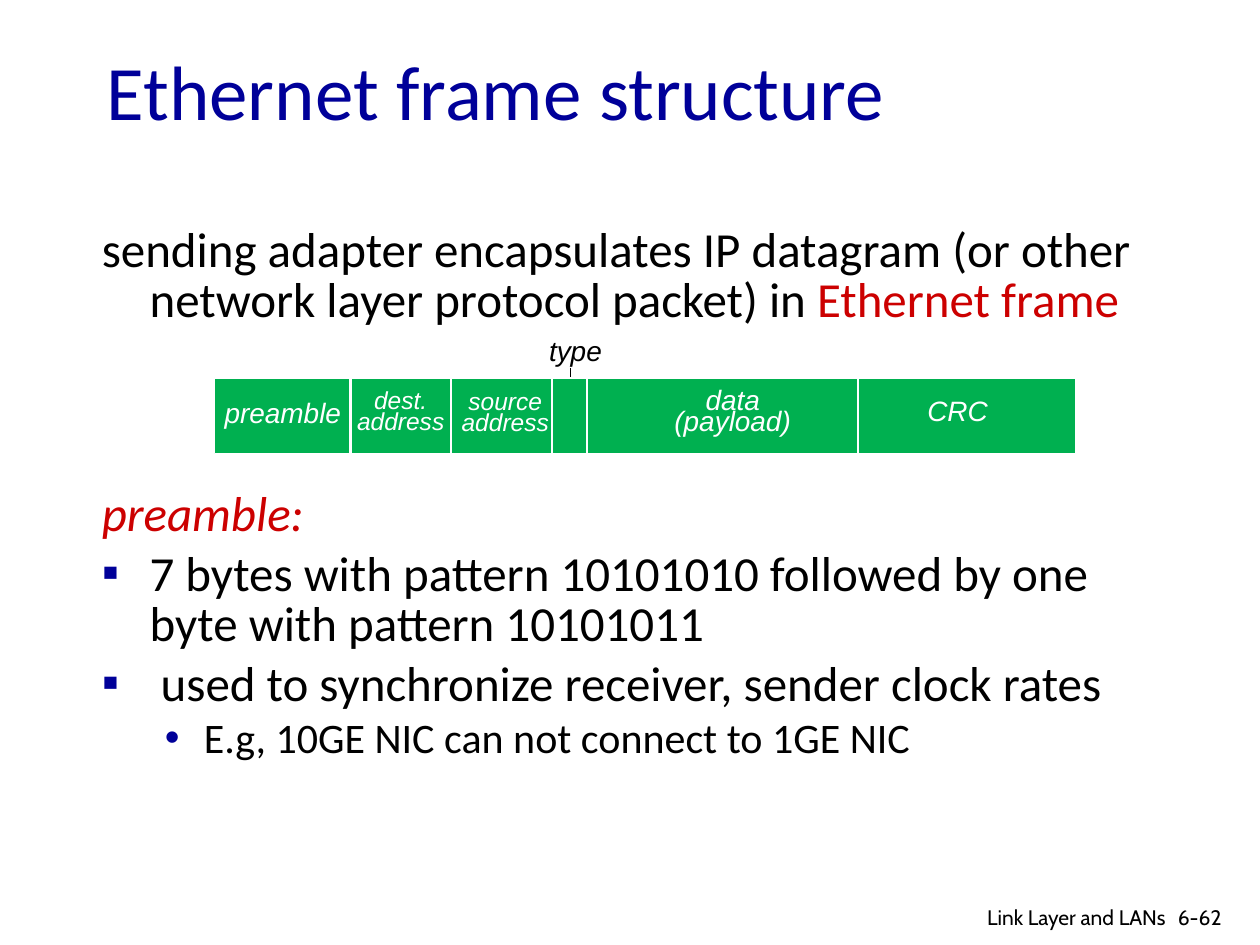
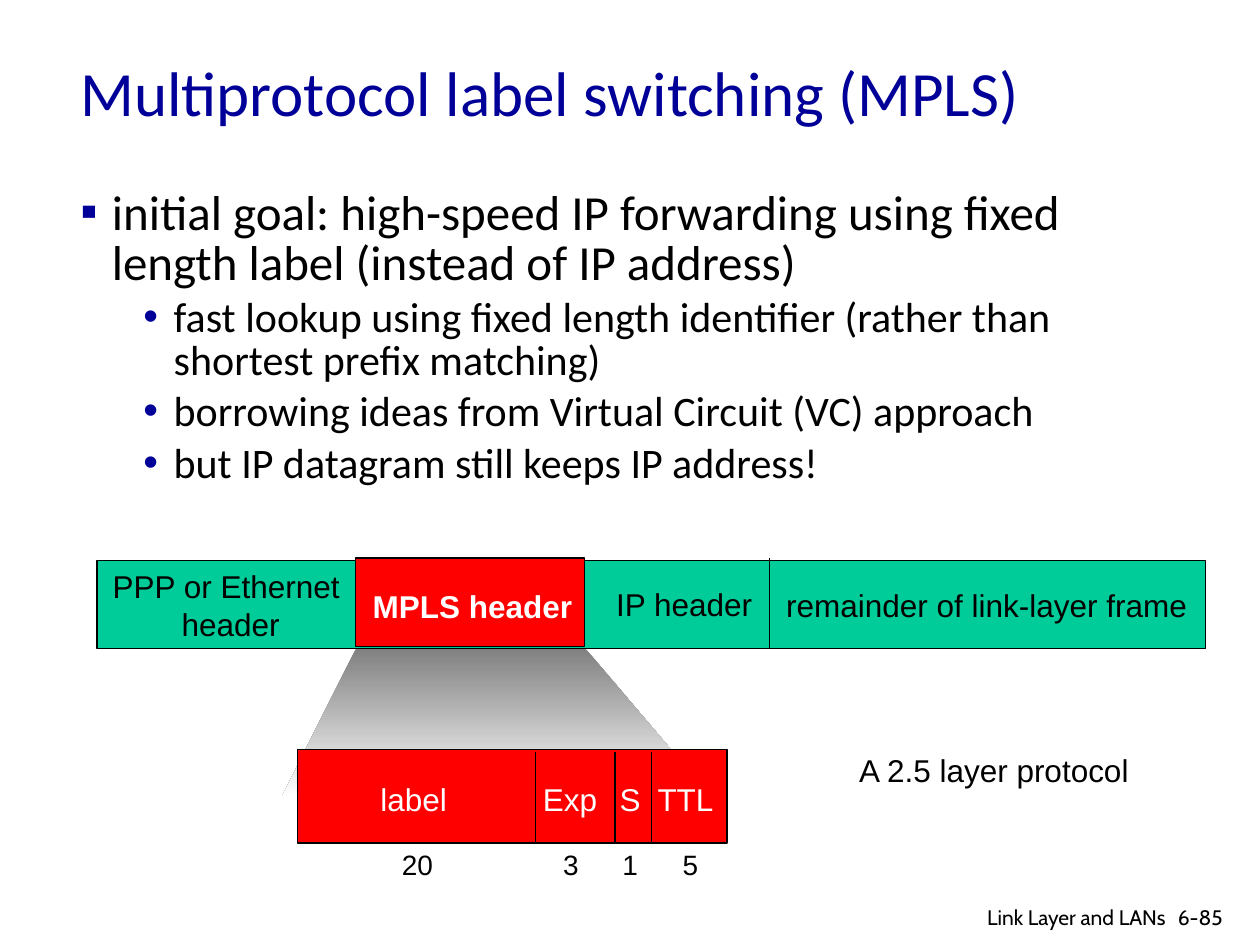
from dataclasses import dataclass

from lxml.etree import SubElement
from pptx import Presentation
from pptx.dml.color import RGBColor
from pptx.enum.shapes import MSO_CONNECTOR, MSO_SHAPE
from pptx.enum.text import MSO_ANCHOR, MSO_AUTO_SIZE, PP_ALIGN
from pptx.oxml.ns import qn
from pptx.util import Inches, Pt


@dataclass(frozen=True)
class Theme:
    heading: str = "Calibri"
    label: str = "Arial"
    footer: str = "Cabin"
    navy: str = "000099"
    crimson: str = "CC0000"
    black: str = "000000"
    white: str = "FFFFFF"
    green: str = "00B050"
    teal: str = "00CC99"
    red: str = "FF0000"
    grey: str = "808080"
    body_sizes: tuple = (28, 24)
    label_size: int = 18
    field_size: int = 16
    address_size: int = 14
    footer_size: int = 12
    hairline: float = 0.75
    divider: float = 1.5


T = Theme()


def add_box(s, at, text="", *, size=T.label_size, color=T.black, font=T.label,
            bold=False, italic=False, align=PP_ALIGN.LEFT, leading=None,
            wrap=True, anchor=MSO_ANCHOR.TOP, fill=None, edge=None):
    """Add a text box, or a rectangle if fill is given; each line is a paragraph."""
    place = [Inches(v) for v in at]
    if fill:
        sp = s.shapes.add_shape(MSO_SHAPE.RECTANGLE, *place)
        sp.shadow.inherit = False
        sp.fill.solid()
        sp.fill.fore_color.rgb = RGBColor.from_string(fill)
        sp.line.color.rgb = RGBColor.from_string(edge)
        sp.line.width = Pt(T.hairline)
    else:
        sp = s.shapes.add_textbox(*place)
    tf = sp.text_frame
    tf.word_wrap = wrap
    if not wrap:
        tf.auto_size = MSO_AUTO_SIZE.SHAPE_TO_FIT_TEXT
    tf.vertical_anchor = anchor
    if text:
        tf.text = text
    for p in tf.paragraphs:
        p.alignment = align
        if leading:
            p.line_spacing = Pt(leading)
        for r in p.runs:
            r.font.size, r.font.name = Pt(size), font
            r.font.bold, r.font.italic = bold, italic
            r.font.color.rgb = RGBColor.from_string(color)
    return sp


def add_vline(s, x, top, bottom, color=T.black, width=T.hairline):
    ln = s.shapes.add_connector(MSO_CONNECTOR.STRAIGHT, Inches(x), Inches(top),
                                Inches(x), Inches(bottom))
    ln.line.color.rgb = RGBColor.from_string(color)
    ln.line.width = Pt(width)
    SubElement(ln._element.spPr, qn("a:effectLst"))


prs = Presentation()
prs.slide_width, prs.slide_height = Inches(10), Inches(7.5)

# Each body paragraph: level, bullet, space before (points), runs of (text, colour, italic)
DIAGRAM_GAP = 93.5
ethernet_body = [
    (0, None, 5.6, [("sending adapter encapsulates IP datagram (or other network layer "
                     "protocol packet) in ", T.black, False),
                    ("Ethernet frame", T.crimson, False)]),
    (0, None, DIAGRAM_GAP, [("preamble:", T.crimson, True)]),
    (0, "▪", 5.6, [("7 bytes with pattern 10101010 followed by one byte with pattern "
                    "10101011", T.black, False)]),
    (0, "▪", 5.6, [(" used to synchronize receiver, sender clock rates", T.black, False)]),
    (1, "•", 4.8, [("E.g, 10GE NIC can not connect to 1GE NIC", T.black, False)]),
]
mpls_body = [
    (0, "▪", 5.6, [("initial goal: high-speed IP forwarding using fixed length label "
                    "(instead of IP address)", T.black, False)]),
] + [
    (1, "•", 4.8, [(text, T.black, False)]) for text in (
        "fast lookup using fixed length identifier (rather than shortest prefix matching)",
        "borrowing ideas from Virtual Circuit (VC) approach",
        "but IP datagram still keeps IP address!")
]

# Title, title place and size, body place, (margin, hanging) per level, body, page number
pages = [
    ("Ethernet frame structure", (0.75, 0.38, 8.5, 0.67), 44,
     (0.71, 1.76, 8.5, 4.75), [(0.38, 0.38), (0.81, 0.31)], ethernet_body, "6-62"),
    ("Multiprotocol label switching (MPLS)", (0.54, 0.21, 8.5, 1.03), 36,
     (0.54, 1.46, 8.5, 5.08), [(0.25, 0.25), (0.74, 0.24)], mpls_body, "6-85"),
]
slides = []
for title, title_at, title_size, body_at, indents, body, number in pages:
    s = prs.slides.add_slide(prs.slide_layouts[6])
    slides.append(s)
    add_box(s, title_at, title, size=title_size, color=T.navy, font=T.heading,
            anchor=MSO_ANCHOR.MIDDLE)
    tf = add_box(s, body_at).text_frame
    for i, (level, bullet, before, runs) in enumerate(body):
        p = tf.add_paragraph() if i else tf.paragraphs[0]
        p.level, p.line_spacing, p.space_before = level, 0.85, Pt(before)
        margin, hanging = indents[level]
        pPr = p._p.get_or_add_pPr()
        pPr.set("marL", str(Inches(margin)))
        pPr.set("indent", str(-Inches(hanging)))
        if bullet:
            SubElement(SubElement(pPr, qn("a:buClr")), qn("a:srgbClr"), val=T.navy)
            SubElement(pPr, qn("a:buFont"), typeface=T.label)
            SubElement(pPr, qn("a:buChar"), char=bullet)
        for text, color, italic in runs:
            r = p.add_run()
            r.text = text
            r.font.name, r.font.size = T.heading, Pt(T.body_sizes[level])
            r.font.italic = italic
            r.font.color.rgb = RGBColor.from_string(color)
    add_box(s, (9.25, 7.13, 0.6, 0.3), number, size=T.footer_size, font=T.footer)
    add_box(s, (6.97, 7.13, 2.38, 0.26), "Link Layer and LANs", size=T.footer_size,
            font=T.footer, align=PP_ALIGN.RIGHT)
ethernet, mpls = slides

# Ethernet frame fields
add_vline(ethernet, 4.53, 2.92, 3.14)
add_box(ethernet, (1.7, 3, 6.84, 0.6), fill=T.green, edge=T.white)
for x in (2.78, 3.58, 4.38, 4.66, 6.81):
    add_vline(ethernet, x, 3, 3.6, T.white, T.divider)
for at, text, size in [
    ((2.72, 3.07, 0.92, 0.45), "dest.\naddress", T.address_size),
    ((3.55, 3.08, 0.92, 0.45), "source\naddress", T.address_size),
    ((5.06, 3.09, 1.51, 0.45), "data (payload)", T.field_size),
    ((7.13, 3.17, 0.94, 0.29), "CRC", T.field_size),
    ((1.66, 3.19, 1.17, 0.29), "preamble", T.field_size),
]:
    add_box(ethernet, at, text, size=size, color=T.white, italic=True,
            align=PP_ALIGN.CENTER, leading=12)
add_box(ethernet, (4.26, 2.6, 0.84, 0.37), "type", size=T.field_size, italic=True)

# Shaded zoom from the MPLS header down to its fields
zoom = [(Inches(x), Inches(y)) for x, y in
        [(2.83, 5.14), (2.24, 6.32), (5.64, 6.32), (4.64, 5.14)]]
fb = mpls.shapes.build_freeform(*zoom[0])
fb.add_line_segments(zoom[1:])
sp = fb.convert_to_shape()
sp.shadow.inherit = False
sp.line.fill.background()
sp.fill.gradient()
sp.fill.gradient_angle = 270
for stop, color in zip(sp.fill.gradient_stops, (T.grey, T.white)):
    stop.color.rgb = RGBColor.from_string(color)

# Link-layer frame
add_box(mpls, (0.77, 4.45, 8.8, 0.7), fill=T.teal, edge=T.black)
add_vline(mpls, 6.11, 4.43, 5.15)
add_box(mpls, (2.82, 4.43, 1.82, 0.7), fill=T.red, edge=T.black)
for at, text, color in [
    ((0.79, 4.45, 2.08, 0.7), "PPP or Ethernet \nheader", T.black),
    ((2.8, 4.61, 1.9, 0.4), "MPLS header", T.white),
    ((4.79, 4.59, 1.28, 0.4), "IP header", T.black),
    ((6.14, 4.6, 3.38, 0.4), "remainder of link-layer frame", T.black),
]:
    add_box(mpls, at, text, color=color, bold=color == T.white,
            align=PP_ALIGN.CENTER, wrap=False)

# MPLS header fields: name, left and width, bit count, left and width
add_box(mpls, (2.36, 5.95, 3.41, 0.74), fill=T.red, edge=T.black)
for name, x, w, bits, bits_x, bits_w in [
    ("label", 2.92, 0.73, "20", 3.09, 0.45),
    ("Exp", 4.21, 0.63, "3", 4.37, 0.32),
    ("S", 4.82, 0.37, "1", 4.84, 0.32),
    ("TTL", 5.12, 0.65, "5", 5.32, 0.32),
]:
    add_box(mpls, (x, 6.14, w, 0.4), name, color=T.white, wrap=False)
    add_box(mpls, (bits_x, 6.68, bits_w, 0.37), bits, size=T.field_size, wrap=False)
for x in (4.25, 4.88, 5.17):
    add_vline(mpls, x, 5.97, 6.69)
add_box(mpls, (6.72, 5.91, 2.57, 0.4), "A 2.5 layer protocol")

prs.save("out.pptx")
